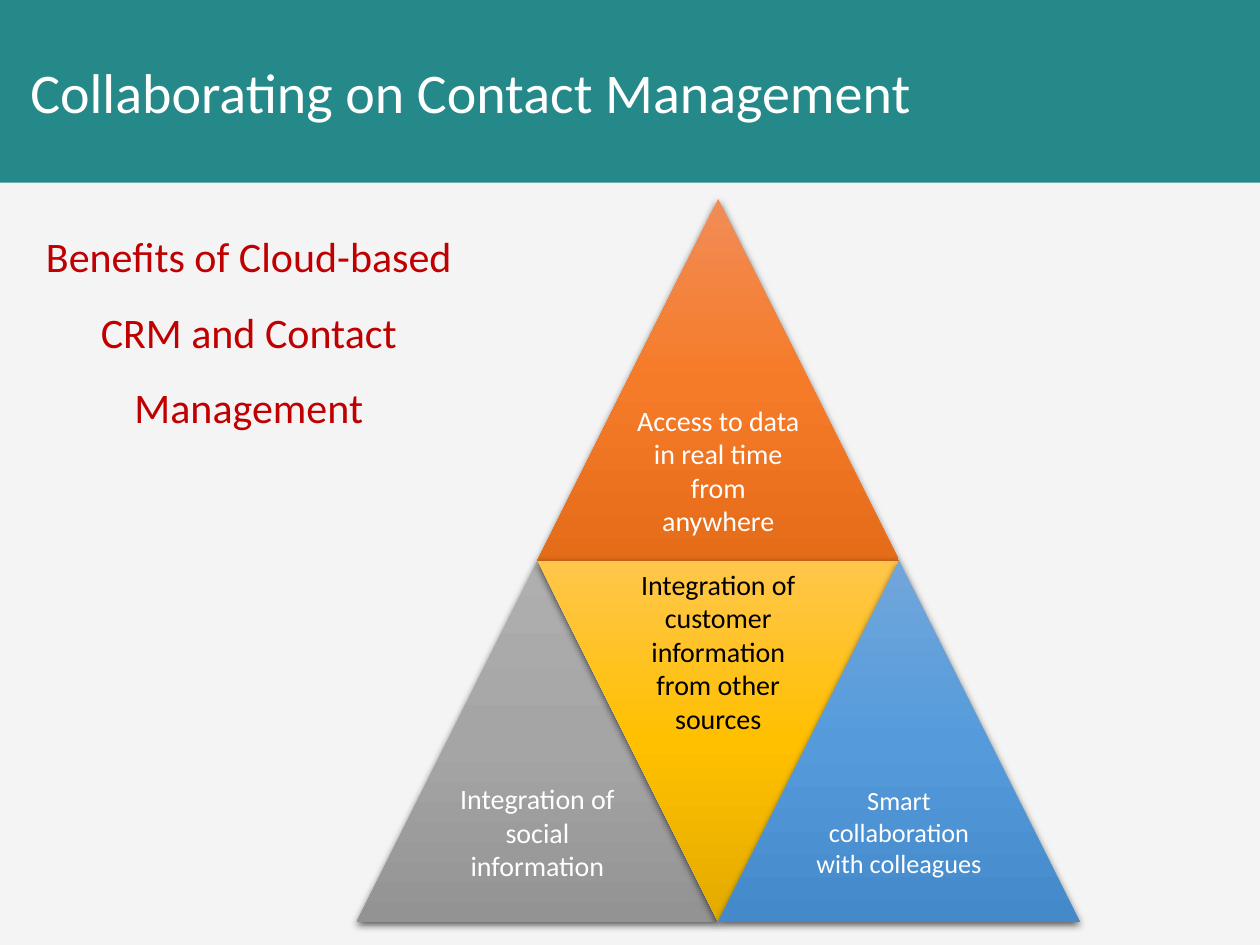
from lxml.etree import SubElement
from pptx import Presentation
from pptx.dml.color import RGBColor
from pptx.enum.shapes import MSO_SHAPE
from pptx.enum.text import MSO_ANCHOR, PP_ALIGN
from pptx.oxml.ns import qn
from pptx.util import Inches, Pt

FONT = "Calibri"
BACKGROUND = RGBColor(0xF4, 0xF4, 0xF5)
TEAL = RGBColor(0x25, 0x89, 0x89)
RED = RGBColor(0xC0, 0x00, 0x00)
WHITE = RGBColor(0xFF, 0xFF, 0xFF)
BLACK = RGBColor(0x00, 0x00, 0x00)


def gradient(*colors):
    return [RGBColor.from_string(color) for color in colors]


ORANGE = gradient("F18C57", "F67B28", "E56C19")
GRAY = gradient("AFAFAF", "A5A5A5", "939393")
GOLD = gradient("FFC64B", "FFC000", "E3AB00")
BLUE = gradient("71A6DB", "559BDB", "448ACA")

SECTIONS = [
    (0.5, 0, 0, ORANGE, "Access to data in real time from anywhere", 16, WHITE),
    (0, 1, 0, GRAY, "Integration of social information", 16, WHITE),
    (0.5, 1, 180, GOLD, "Integration of customer information from other sources", 16, BLACK),
    (1, 1, 0, BLUE, "Smart collaboration with colleagues", 15, WHITE),
]


def write(frame, text, size, color, align):
    frame.word_wrap = True
    para = frame.paragraphs[0]
    para.alignment = align
    span = para.add_run()
    span.text = text
    span.font.name = FONT
    span.font.size = Pt(size)
    span.font.color.rgb = color
    return para


def add_color(parent, color):
    return SubElement(parent, qn("a:srgbClr"), val=str(color))


def fill_gradient(shape, colors):
    shape.fill.gradient()
    fill = shape._element.spPr.find(qn("a:gradFill"))
    fill.set("rotWithShape", "0")
    for child in list(fill):
        fill.remove(child)
    stops = SubElement(fill, qn("a:gsLst"))
    for index, color in enumerate(colors):
        add_color(SubElement(stops, qn("a:gs"), pos=str(index * 50000)), color)
    SubElement(fill, qn("a:lin"), ang="5400000", scaled="0")


def add_shadow(shape):
    shape.shadow.inherit = False
    effects = shape._element.spPr.find(qn("a:effectLst"))
    shadow = SubElement(effects, qn("a:outerShdw"), blurRad=str(Pt(4.5)),
                        dist=str(Pt(1.5)), dir="5400000", algn="ctr", rotWithShape="0")
    SubElement(add_color(shadow, BLACK), qn("a:alpha"), val="63000")


def add_header(page, left, top, width, height):
    band = page.shapes.add_shape(MSO_SHAPE.RECTANGLE, left, top, width, height)
    band.shadow.inherit = False
    band.fill.solid()
    band.fill.fore_color.rgb = TEAL
    band.line.fill.background()
    title = page.shapes.title
    title._element.addprevious(band._element)
    title.left, title.top = left + Inches(0.14), top
    title.width, title.height = Inches(9.32), height
    title.text_frame.vertical_anchor = MSO_ANCHOR.MIDDLE
    write(title.text_frame, "Collaborating on Contact Management", 32, WHITE, PP_ALIGN.LEFT)


def add_subtitle(page, left, top, width, height):
    box = page.shapes.add_textbox(left, top, width, height)
    para = write(box.text_frame, "Benefits of Cloud-based CRM and Contact Management",
                 24, RED, PP_ALIGN.CENTER)
    para.line_spacing = 1.5


def add_section(page, left, top, side, rotation, colors, text, size, color):
    triangle = page.shapes.add_shape(MSO_SHAPE.ISOSCELES_TRIANGLE, left, top, side, side)
    triangle.rotation = rotation
    fill_gradient(triangle, colors)
    triangle.line.fill.background()
    add_shadow(triangle)

    half = side // 2
    label_top = top if rotation else top + half
    label = page.shapes.add_textbox(left + side // 4, label_top, half, half)
    frame = label.text_frame
    frame.vertical_anchor = MSO_ANCHOR.MIDDLE
    inset = Inches(0.07 if size == 16 else 0.06)
    frame.margin_left = frame.margin_right = inset
    frame.margin_top = frame.margin_bottom = inset
    write(frame, text, size, color, PP_ALIGN.CENTER)


def add_pyramid(page, left, top, size):
    side = size // 2
    for column, row, *section in SECTIONS:
        add_section(page, left + int(column * side), top + row * side, side, *section)


def main():
    deck = Presentation()
    deck.slide_width, deck.slide_height = Inches(10), Inches(7.5)
    page = deck.slides.add_slide(deck.slide_layouts[5])
    page.background.fill.solid()
    page.background.fill.fore_color.rgb = BACKGROUND
    add_header(page, Inches(0), Inches(0), Inches(10), Inches(1.45))
    add_subtitle(page, Inches(0.14), Inches(1.58), Inches(3.67), Inches(1.85))
    add_pyramid(page, Inches(2.83), Inches(1.58), Inches(5.74))
    deck.save("out.pptx")


if __name__ == "__main__":
    main()
